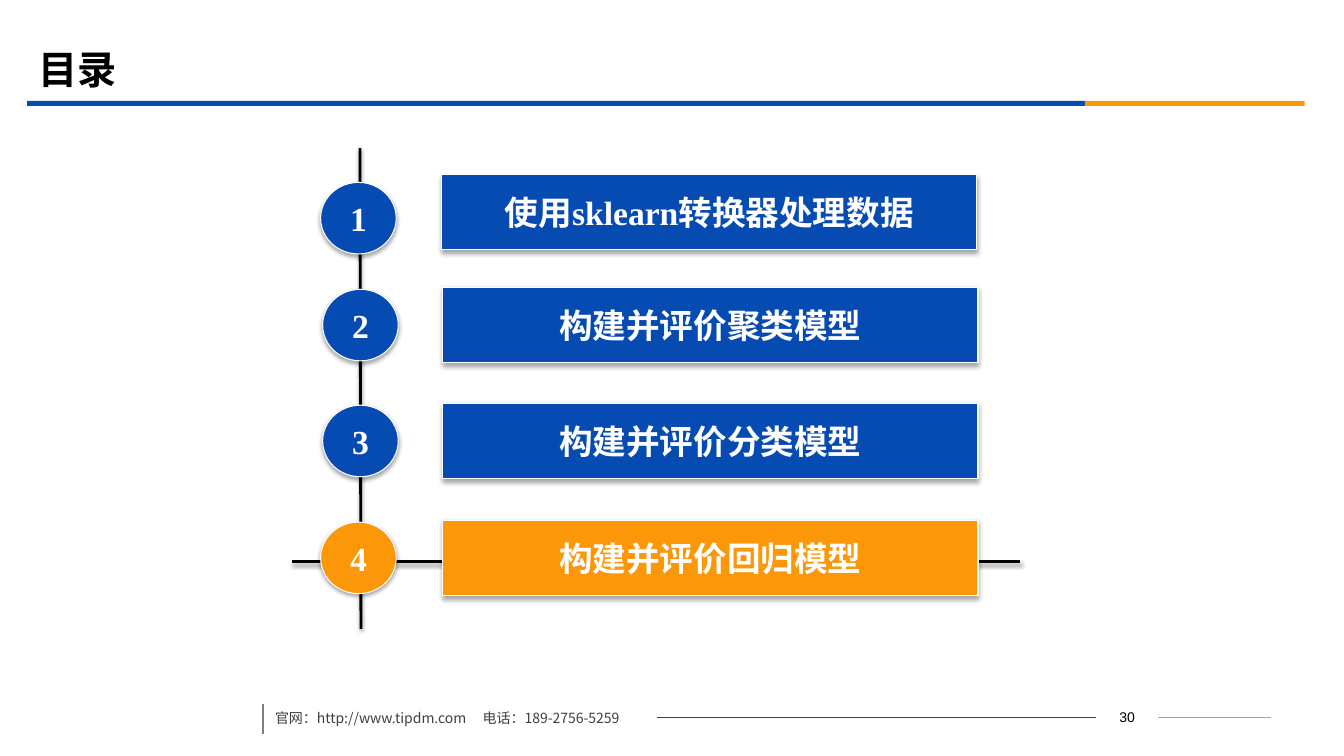
from dataclasses import dataclass

from lxml import etree
from pptx import Presentation
from pptx.dml.color import RGBColor as RGB
from pptx.enum.shapes import MSO_CONNECTOR as LINK, MSO_SHAPE as SHAPE
from pptx.enum.text import MSO_ANCHOR as ANCHOR, PP_ALIGN as ALIGN
from pptx.oxml.ns import qn
from pptx.util import Inches, Pt


@dataclass(frozen=True)
class Theme:
    blue: str = "064BB2"
    gold: str = "FB9708"
    white: str = "FFFFFF"
    black: str = "000000"
    dark: str = "404040"
    gray: str = "808080"
    pale: str = "A6A6A6"
    serif: str = "Times New Roman"
    sans: str = "Arial"
    cjk: str = "Noto Sans CJK SC"
    title: int = 28
    body: int = 24
    small: int = 10


T = Theme()

# Text, circle left, circle top, bar left, bar top, fill
STEPS = [
    ("使用sklearn转换器处理数据", 3.18, 1.81, 4.38, 1.73, T.blue),
    ("构建并评价聚类模型", 3.2, 2.87, 4.39, 2.85, T.blue),
    ("构建并评价分类模型", 3.2, 4.02, 4.39, 4, T.blue),
    ("构建并评价回归模型", 3.18, 5.18, 4.39, 5.16, T.gold),
]


def box(left, top, width, height):
    return [Inches(n) for n in (left, top, width, height)]


def write(frame, text, face, size, color, bold=False, align=ALIGN.LEFT):
    frame.vertical_anchor = ANCHOR.MIDDLE
    para = frame.paragraphs[0]
    para.text = text
    para.alignment = align
    font = para.font
    font.name, font.size, font.bold = face, Pt(size), bold
    font.color.rgb = RGB.from_string(color)
    props = para._p.pPr.find(qn("a:defRPr"))
    etree.SubElement(props, qn("a:ea")).set("typeface", T.cjk)


def effect(shape, alpha=0, dist=0):
    """Set a soft shadow below the shape, or none when alpha is 0."""
    props = shape._element.spPr
    for old in props.findall(qn("a:effectLst")):
        props.remove(old)
    group = etree.SubElement(props, qn("a:effectLst"))
    if alpha:
        shade = etree.SubElement(
            group, qn("a:outerShdw"), blurRad=str(Pt(3.1)),
            dist=str(Pt(dist)), dir="5400000", rotWithShape="0")
        tone = etree.SubElement(shade, qn("a:srgbClr"), val=T.black)
        etree.SubElement(tone, qn("a:alpha"), val=str(alpha * 1000))


def line(slide, start, end, color, width, alpha=0):
    link = slide.shapes.add_connector(
        LINK.STRAIGHT, *[Inches(n) for n in (*start, *end)])
    link.line.color.rgb = RGB.from_string(color)
    link.line.width = Pt(width)
    effect(link, alpha, 1.6)


def block(slide, kind, place, color):
    shape = slide.shapes.add_shape(kind, *box(*place))
    shape.shadow.inherit = False
    shape.fill.solid()
    shape.fill.fore_color.rgb = RGB.from_string(color)
    shape.line.fill.background()
    return shape


def badge(slide, kind, place, color, text):
    shape = block(slide, kind, place, color)
    shape.line.color.rgb = RGB.from_string(T.white)
    shape.line.width = Pt(0.75)
    effect(shape, 35, 1.8)
    shape.text_frame.word_wrap = False
    write(shape.text_frame, text, T.serif, T.body, T.white, True, ALIGN.CENTER)


def label(slide, place, text, face, color, align=ALIGN.LEFT, tab=None):
    frame = slide.shapes.add_textbox(*box(*place)).text_frame
    frame.word_wrap = True
    if tab:
        props = frame.paragraphs[0]._p.get_or_add_pPr()
        tabs = etree.SubElement(props, qn("a:tabLst"))
        etree.SubElement(tabs, qn("a:tab"), pos=str(Inches(tab)), algn="l")
    write(frame, text, face, T.small, color, align=align)


def header(slide):
    title = slide.shapes.title
    title.left, title.top, title.width, title.height = box(0.28, 0.39, 12, 0.58)
    write(title.text_frame, "目录", T.serif, T.title, T.black, True)
    block(slide, SHAPE.RECTANGLE, (0.27, 1, 10.49, 0.05), T.blue)
    block(slide, SHAPE.RECTANGLE, (10.76, 1, 2.18, 0.05), T.gold)


def footer(slide):
    line(slide, (2.61, 6.98), (2.61, 7.28), T.gray, 1.25)
    line(slide, (6.52, 7.12), (10.87, 7.12), T.dark, 0.75)
    line(slide, (11.49, 7.12), (12.61, 7.12), T.pale, 0.75)
    label(slide, (2.63, 6.95, 5.36, 0.35),
          "官网：http://www.tipdm.com\t电话：189-2756-5259",
          T.cjk, T.dark, tab=2.06)
    label(slide, (10.87, 6.99, 0.62, 0.25), "30", T.sans, T.black, ALIGN.CENTER)


def agenda(slide):
    # Axes behind the steps
    line(slide, (3.57, 1.47), (3.58, 6.24), T.black, 2, 38)
    line(slide, (2.9, 5.57), (10.12, 5.57), T.black, 2, 38)
    # Numbered circles and bars
    for num, (text, cx, cy, bx, by, color) in enumerate(STEPS, 1):
        badge(slide, SHAPE.OVAL, (cx, cy, 0.75, 0.71), color, str(num))
        badge(slide, SHAPE.ACTION_BUTTON_CUSTOM, (bx, by, 5.31, 0.75), color, text)


def main():
    deck = Presentation()
    deck.slide_width, deck.slide_height = Inches(13.33), Inches(7.5)
    slide = deck.slides.add_slide(deck.slide_layouts[5])
    header(slide)
    footer(slide)
    agenda(slide)
    deck.save("out.pptx")


if __name__ == "__main__":
    main()
